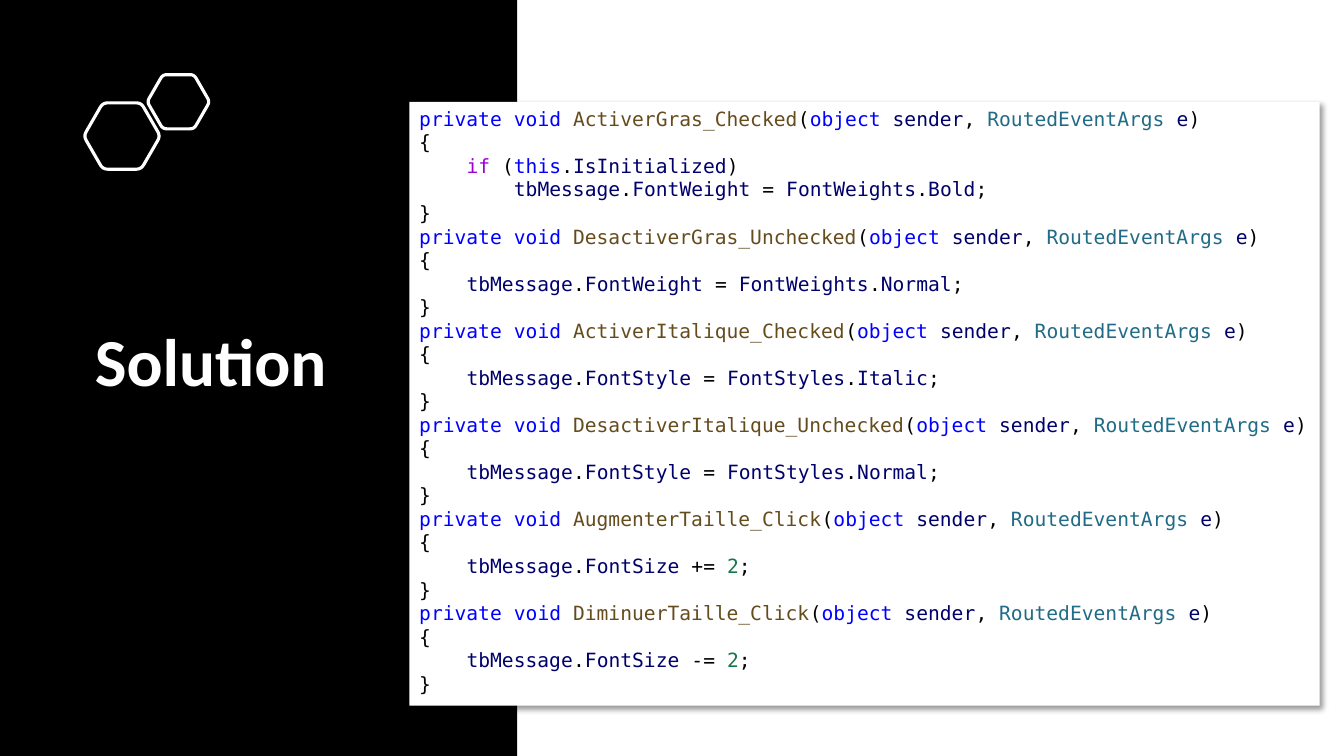
from itertools import groupby
from math import cos, radians, sin

from lxml import etree
from pptx import Presentation
from pptx.dml.color import RGBColor
from pptx.enum.shapes import MSO_SHAPE
from pptx.enum.text import MSO_ANCHOR, MSO_AUTO_SIZE, PP_ALIGN
from pptx.oxml.ns import qn
from pptx.util import Inches, Pt

RECTANGLE = MSO_SHAPE.RECTANGLE
LEFT = PP_ALIGN.LEFT
TOP, MIDDLE = MSO_ANCHOR.TOP, MSO_ANCHOR.MIDDLE
GROW = MSO_AUTO_SIZE.SHAPE_TO_FIT_TEXT

COLORS = {
    "white": "FFFFFF",
    "black": "000000",
    "keyword": "0000FF",
    "control": "9D00D2",
    "method": "654C1D",
    "type": "206C87",
    "variable": "00006D",
    "number": "137848",
}
WORD_COLORS = {
    "private": "keyword",
    "void": "keyword",
    "object": "keyword",
    "this": "keyword",
    "if": "control",
    "RoutedEventArgs": "type",
}
HANDLERS = [
    ("ActiverGras_Checked", ["    if (this.IsInitialized)",
                             "        tbMessage.FontWeight = FontWeights.Bold;"]),
    ("DesactiverGras_Unchecked", ["    tbMessage.FontWeight = FontWeights.Normal;"]),
    ("ActiverItalique_Checked", ["    tbMessage.FontStyle = FontStyles.Italic;"]),
    ("DesactiverItalique_Unchecked", ["    tbMessage.FontStyle = FontStyles.Normal;"]),
    ("AugmenterTaille_Click", ["    tbMessage.FontSize += 2;"]),
    ("DiminuerTaille_Click", ["    tbMessage.FontSize -= 2;"]),
]
CODE_FORMAT = {"name": "DejaVu Sans Mono", "size": Pt(14)}
TITLE_FORMAT = {"name": "Calibri", "size": Pt(48), "bold": True}


def rgb(name):
    """Return the named colour."""
    return RGBColor.from_string(COLORS[name])


def format_font(font, values, color):
    """Apply a dict of format values and a colour to a font."""
    for attribute, value in values.items():
        setattr(font, attribute, value)
    font.color.rgb = rgb(color)


def add_panel(page, left, top, width, height, color):
    """Add a plain filled rectangle without a line or shadow."""
    panel = page.shapes.add_shape(
        RECTANGLE, Inches(left), Inches(top), Inches(width), Inches(height))
    panel.shadow.inherit = False
    panel.fill.solid()
    panel.fill.fore_color.rgb = rgb(color)
    panel.line.fill.background()
    return panel


def add_hexagon(page, center_x, center_y, radius, cut):
    """Add an outlined hexagon whose corners are rounded by quadratic curves."""
    corners = [(center_x + radius * cos(radians(60 * k)),
                center_y + radius * sin(radians(60 * k))) for k in range(6)]
    points = []
    share = cut / radius
    for k, corner in enumerate(corners):
        before, after = corners[k - 1], corners[(k + 1) % 6]
        for step in range(7):
            t = step / 6
            points.append(tuple(
                Inches(c + share * ((1 - t) ** 2 * (b - c) + t ** 2 * (a - c)))
                for b, c, a in zip(before, corner, after)))
    builder = page.shapes.build_freeform(*points[0])
    builder.add_line_segments(points[1:], close=True)
    hexagon = builder.convert_to_shape()
    hexagon.shadow.inherit = False
    hexagon.fill.background()
    hexagon.line.color.rgb = rgb("white")
    hexagon.line.width = Pt(2.25)


def place_title(page, text):
    """Move and format the title placeholder above the dark panel."""
    title = page.shapes.title
    page.shapes._spTree.append(title._element)
    title.left, title.top = Inches(0.84), Inches(1.28)
    title.width, title.height = Inches(3.92), Inches(4.68)
    title.text_frame.text = text
    title.text_frame.vertical_anchor = MIDDLE
    para = title.text_frame.paragraphs[0]
    para.alignment = LEFT
    para.line_spacing = 0.9
    format_font(para.runs[0].font, TITLE_FORMAT, "white")


def add_shadow(shape):
    """Give a shape a soft shadow towards the lower right."""
    effects = shape._element.spPr.find(qn("a:effectLst"))
    shadow = etree.SubElement(
        effects, qn("a:outerShdw"), blurRad=str(Pt(4)), dist=str(Pt(3)),
        dir=str(45 * 60000), algn="tl", rotWithShape="0")
    color = etree.SubElement(shadow, qn("a:srgbClr"), val=COLORS["black"])
    etree.SubElement(color, qn("a:alpha"), val="40000")


def is_word_character(character):
    """Tell whether a character belongs to an identifier or a number."""
    return character.isalnum() or character == "_"


def token_color(token):
    """Choose the syntax colour of a token."""
    if not is_word_character(token[0]):
        return "black"
    if token.isdigit():
        return "number"
    return WORD_COLORS.get(token, "method" if "_" in token else "variable")


def add_code(box, lines):
    """Write syntax-coloured code lines into a shape."""
    frame = box.text_frame
    frame.word_wrap = True
    frame.auto_size = GROW
    frame.vertical_anchor = TOP
    for index, line in enumerate(lines):
        para = frame.add_paragraph() if index else frame.paragraphs[0]
        para.alignment = LEFT
        for _, characters in groupby(line, is_word_character):
            span = para.add_run()
            span.text = "".join(characters)
            format_font(span.font, CODE_FORMAT, token_color(span.text))


def handler_lines(name, body):
    """Return the lines of one event handler."""
    return [f"private void {name}(object sender, RoutedEventArgs e)", "{", *body, "}"]


def main():
    """Build the slide and save it."""
    deck = Presentation()
    deck.slide_width, deck.slide_height = Inches(13.33), Inches(7.5)
    page = deck.slides.add_slide(deck.slide_layouts[0])
    subtitle = page.placeholders[1]._element
    subtitle.getparent().remove(subtitle)

    add_panel(page, 0, 0, 5.13, 7.5, "black")
    add_hexagon(page, 1.21, 1.35, 0.38, 0.05)
    add_hexagon(page, 1.77, 1.01, 0.31, 0.04)
    place_title(page, "Solution")
    card = add_panel(page, 4.06, 1.01, 9.03, 5.99, "white")
    add_shadow(card)
    add_code(card, [line for name, body in HANDLERS
                    for line in handler_lines(name, body)])
    deck.save("out.pptx")


if __name__ == "__main__":
    main()
